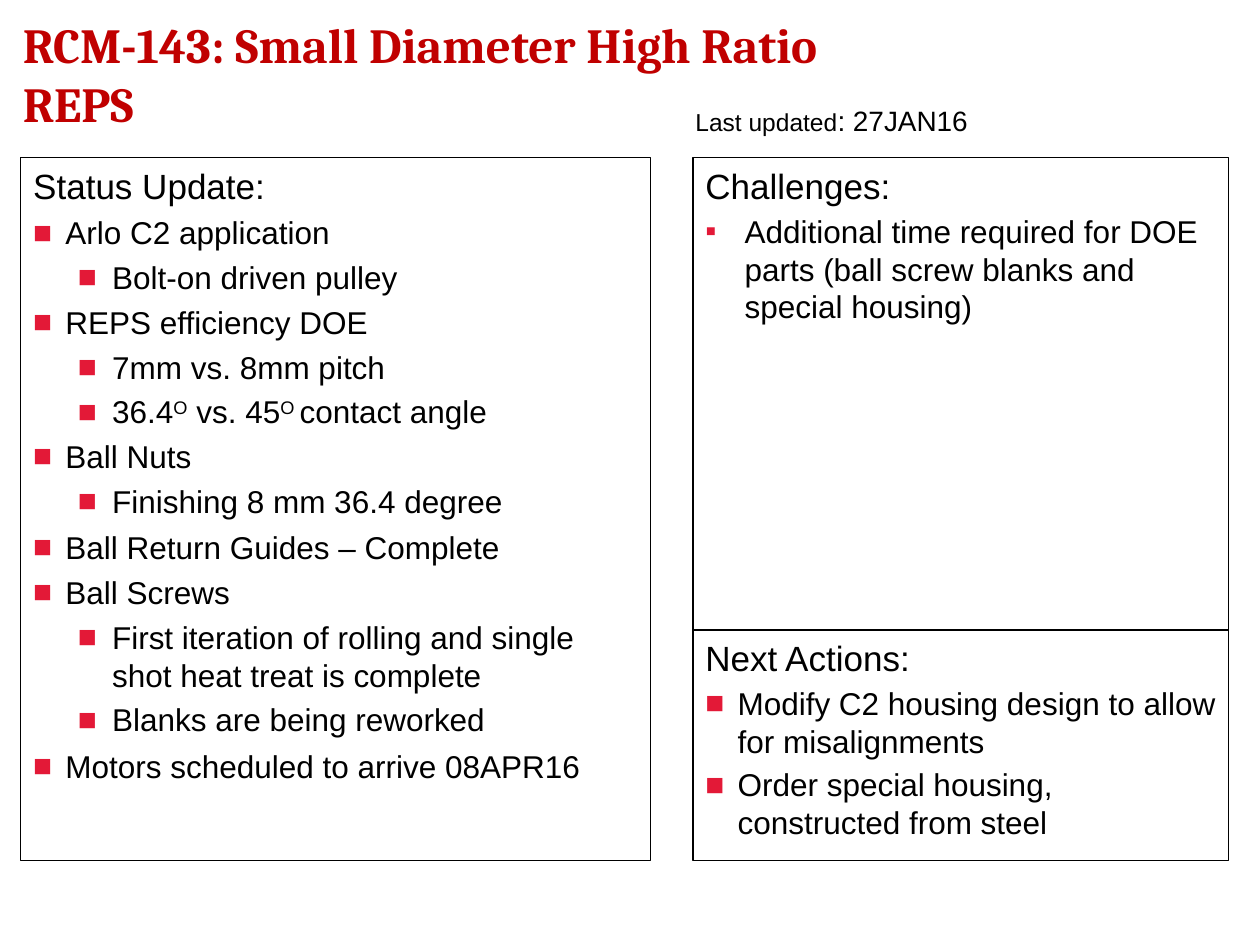
from dataclasses import dataclass

from lxml.etree import SubElement
from pptx import Presentation
from pptx.dml.color import RGBColor
from pptx.enum.shapes import MSO_SHAPE as Preset
from pptx.enum.text import MSO_ANCHOR as Anchor, MSO_AUTO_SIZE as AutoSize, PP_ALIGN as Align
from pptx.oxml.ns import qn
from pptx.util import Cm, Pt

BLACK, TITLE_RED, BULLET_RED = "000000", "C00000", "E31937"


@dataclass(frozen=True)
class BulletStyle:
    mark: str
    margins: tuple[float, ...]  # cm, one per level
    hanging: float
    space_before: float


@dataclass(frozen=True)
class Item:
    """A bullet; "^" in the text switches superscript on and off."""
    text: str
    level: int = 0
    extra_space: float = 0


@dataclass(frozen=True)
class Panel:
    heading: str
    box: tuple[float, float, float, float]
    style: BulletStyle
    items: tuple[Item, ...]


STATUS = Panel(
    "Status Update:", (0.42, 3.18, 12.7, 14.17),
    BulletStyle("■", (0.65, 1.59), 0.69, 4),
    (
        Item("Arlo C2 application"),
        Item("Bolt-on driven pulley", 1),
        Item("REPS efficiency DOE"),
        Item("7mm vs. 8mm pitch", 1),
        Item("36.4^O^ vs. 45^O ^contact angle", 1),
        Item("Ball Nuts"),
        Item("Finishing 8 mm 36.4 degree", 1),
        Item("Ball Return Guides – Complete", extra_space=0.8),
        Item("Ball Screws"),
        Item("First iteration of rolling and single shot heat treat is complete", 1),
        Item("Blanks are being reworked", 1),
        Item("Motors scheduled to arrive 08APR16", extra_space=0.8),
    ),
)
CHALLENGES = Panel(
    "Challenges:", (13.97, 3.18, 10.8, 9.52),
    BulletStyle("▪", (0.79,), 0.79, 3.2),
    (Item("Additional time required for DOE parts (ball screw blanks and special housing)"),),
)
NEXT_ACTIONS = Panel(
    "Next Actions:", (13.97, 12.7, 10.8, 4.65),
    BulletStyle("■", (0.65,), 0.76, 3.2),
    (
        Item("Modify C2 housing design to allow for misalignments"),
        Item("Order special housing, constructed from steel"),
    ),
)


def color(hex_value: str) -> RGBColor:
    return RGBColor.from_string(hex_value)


def place(shape, box: tuple[float, float, float, float]) -> None:
    shape.left, shape.top, shape.width, shape.height = map(Cm, box)


def prepare_frame(shape, anchor=Anchor.TOP):
    frame = shape.text_frame
    frame.word_wrap = True
    frame.auto_size = AutoSize.NONE
    frame.vertical_anchor = anchor
    frame.margin_left = frame.margin_right = Cm(0.25)
    frame.margin_top = frame.margin_bottom = Cm(0.13)
    return frame


def add_run(paragraph, text: str, size: float, font="Arial", hex_value=BLACK, bold=False):
    run = paragraph.add_run()
    run.text = text
    run.font.size = Pt(size)
    run.font.name = font
    run.font.bold = bold
    run.font.color.rgb = color(hex_value)
    return run


def align_left(paragraph, space_before: float = 0) -> None:
    paragraph.alignment = Align.LEFT
    paragraph.space_before = Pt(space_before)


def set_bullet(paragraph, style: BulletStyle, level: int) -> None:
    paragraph.level = level
    properties = paragraph._p.get_or_add_pPr()
    properties.set("marL", str(Cm(style.margins[level])))
    properties.set("indent", str(-Cm(style.hanging)))
    bullet_color = SubElement(properties, qn("a:buClr"))
    SubElement(bullet_color, qn("a:srgbClr"), val=BULLET_RED)
    SubElement(properties, qn("a:buFont"), typeface="Arial")
    SubElement(properties, qn("a:buChar"), char=style.mark)


def clear_bullet(paragraph) -> None:
    properties = paragraph._p.get_or_add_pPr()
    properties.set("marL", "0")
    properties.set("indent", "0")
    SubElement(properties, qn("a:buNone"))


def fill_panel(shape, panel: Panel) -> None:
    place(shape, panel.box)
    shape.fill.background()
    shape.line.color.rgb = color(BLACK)
    shape.line.width = Pt(0.75)
    frame = prepare_frame(shape)
    heading = frame.paragraphs[0]
    clear_bullet(heading)
    align_left(heading)
    add_run(heading, panel.heading, 20)
    for item in panel.items:
        paragraph = frame.add_paragraph()
        set_bullet(paragraph, panel.style, item.level)
        align_left(paragraph, panel.style.space_before + item.extra_space)
        for index, part in enumerate(item.text.split("^")):
            run = add_run(paragraph, part, 18)
            if index % 2:
                run._r.get_or_add_rPr().set("baseline", "30000")


def add_panel(slide, panel: Panel) -> None:
    shape = slide.shapes.add_shape(Preset.RECTANGLE, *map(Cm, panel.box))
    shape.shadow.inherit = False
    fill_panel(shape, panel)


def add_title(slide, text: str) -> None:
    title = slide.shapes.title
    place(title, (0.21, 0.21, 16.94, 2.54))
    paragraph = prepare_frame(title, Anchor.MIDDLE).paragraphs[0]
    align_left(paragraph)
    add_run(paragraph, text, 28, "Cambria", TITLE_RED, bold=True)


def add_update_date(slide) -> None:
    text_box = slide.shapes.add_textbox(*map(Cm, (13.77, 1.96, 10.16, 1.02)))
    paragraph = prepare_frame(text_box).paragraphs[0]
    align_left(paragraph)
    add_run(paragraph, "Last updated", 14)
    add_run(paragraph, ": 27JAN16", 16)


def main() -> None:
    presentation = Presentation()
    presentation.slide_width, presentation.slide_height = Cm(25.4), Cm(19.05)
    slide = presentation.slides.add_slide(presentation.slide_layouts[1])
    add_title(slide, "RCM-143: Small Diameter High Ratio REPS")
    fill_panel(slide.placeholders[1], STATUS)
    for panel in (CHALLENGES, NEXT_ACTIONS):
        add_panel(slide, panel)
    add_update_date(slide)
    presentation.save("out.pptx")


if __name__ == "__main__":
    main()
